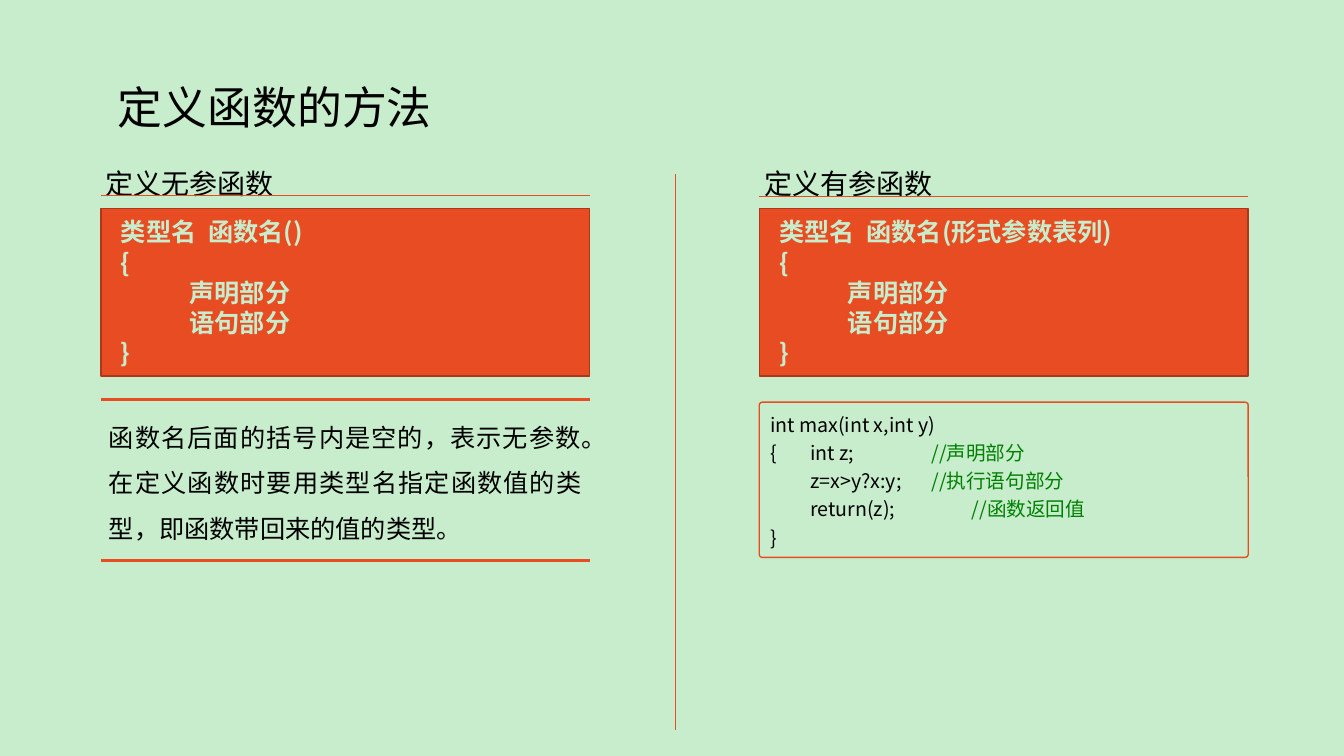
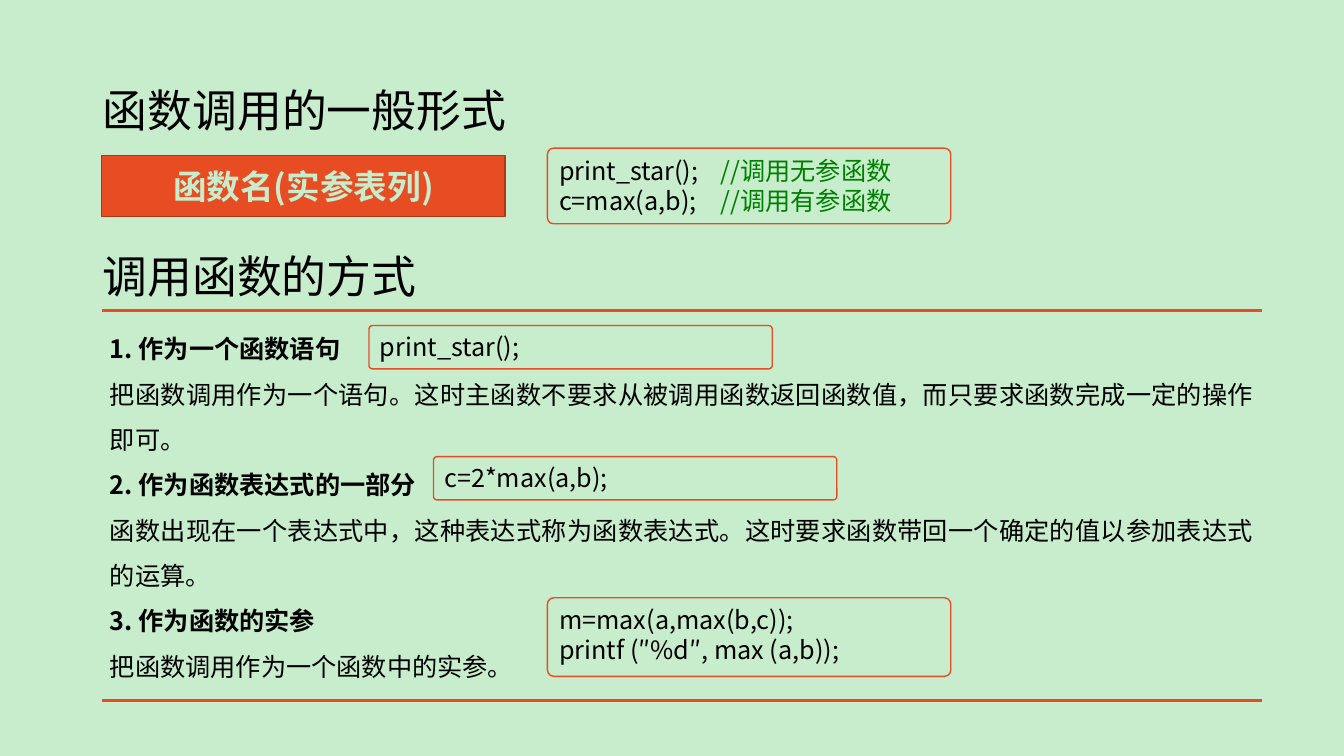
from pptx import Presentation
from pptx.dml.color import RGBColor
from pptx.enum.shapes import MSO_CONNECTOR, MSO_SHAPE
from pptx.enum.text import MSO_ANCHOR, MSO_AUTO_SIZE, PP_ALIGN
from pptx.oxml.ns import qn
from pptx.util import Inches, Pt
from lxml import etree

# Style
PALE = RGBColor(0xC7, 0xED, 0xCC)
RED = RGBColor(0xE8, 0x4C, 0x22)
DARK = RGBColor(0xAC, 0x38, 0x19)
BLACK = RGBColor(0, 0, 0)
GREEN = RGBColor(0, 0x80, 0)
FONT = "Noto Sans CJK SC"
RECT, ROUND = MSO_SHAPE.RECTANGLE, MSO_SHAPE.ROUNDED_RECTANGLE
STRAIGHT = MSO_CONNECTOR.STRAIGHT
TOP, MIDDLE = MSO_ANCHOR.TOP, MSO_ANCHOR.MIDDLE
LEFT, CENTER, JUSTIFY = PP_ALIGN.LEFT, PP_ALIGN.CENTER, PP_ALIGN.JUSTIFY
NO_FIT = MSO_AUTO_SIZE.NONE
INSETS = (0.1, 0.05, 0.1, 0.05)


class Deck:
    def __init__(self):
        self.prs = Presentation()
        self.prs.slide_width = Inches(13.33)
        self.prs.slide_height = Inches(7.5)
        fill = self.prs.slide_master.background.fill
        fill.solid()
        fill.fore_color.rgb = PALE
        self.slide = None

    def put(self, shape, lines, size, color=BLACK, bold=False, align=LEFT,
            space=1.0, anchor=TOP, insets=INSETS, tab=None):
        """Each line is a string or a list of (text, color, bold) runs."""
        frame = shape.text_frame
        frame.word_wrap = True
        frame.auto_size = NO_FIT
        frame.vertical_anchor = anchor
        (frame.margin_left, frame.margin_top,
         frame.margin_right, frame.margin_bottom) = map(Inches, insets)
        for i, line in enumerate(lines):
            para = frame.add_paragraph() if i else frame.paragraphs[0]
            para.alignment = align
            para.line_spacing = space
            if tab:
                self.set_tabs(para, tab)
            for text, hue, heavy in ([(line, color, bold)]
                                     if isinstance(line, str) else line):
                run = para.add_run()
                run.text = text
                font = run.font
                font.name, font.size, font.bold = FONT, Pt(size), heavy
                font.color.rgb = hue
                east = etree.SubElement(run._r.get_or_add_rPr(), qn("a:ea"))
                east.set("typeface", FONT)

    def set_tabs(self, para, step):
        stops = etree.SubElement(para._p.get_or_add_pPr(), qn("a:tabLst"))
        for n in range(1, 7):
            stop = etree.SubElement(stops, qn("a:tab"))
            stop.set("pos", str(Inches(step * n)))
            stop.set("algn", "l")

    def start(self, title, x, y, w):
        self.slide = self.prs.slides.add_slide(self.prs.slide_layouts[5])
        self.head(title, x, y, w, self.slide.shapes.title)

    def head(self, text, x, y, w, shape=None):
        if shape is None:
            shape = self.slide.shapes.add_textbox(0, 0, 0, 0)
        shape.left, shape.top = Inches(x), Inches(y)
        shape.width, shape.height = Inches(w), Inches(1.45)
        self.put(shape, [text], 32, space=0.9, anchor=MIDDLE)

    def text(self, lines, x, y, w, h, size, **style):
        box = self.slide.shapes.add_textbox(*map(Inches, (x, y, w, h)))
        self.put(box, lines, size, **style)

    def box(self, kind, x, y, w, h, fill, edge):
        shape = self.slide.shapes.add_shape(kind, *map(Inches, (x, y, w, h)))
        shape.shadow.inherit = False
        shape.fill.solid()
        shape.fill.fore_color.rgb = fill
        shape.line.color.rgb = edge
        shape.line.width = Pt(1)
        return shape

    def form(self, lines, x, y, w, h, size, **style):
        shape = self.box(RECT, x, y, w, h, RED, DARK)
        self.put(shape, lines, size, PALE, True, anchor=MIDDLE, **style)

    def sample(self, lines, x, y, w, h, size=18, space=1.0, bend=0.08):
        shape = self.box(ROUND, x, y, w, h, PALE, RED)
        shape.adjustments[0] = bend
        # Anything from // onwards is a green comment
        parts = []
        for line in lines:
            body, mark, note = line.partition("//")
            parts.append([(body, BLACK, False)]
                         + ([(mark + note, GREEN, False)] if mark else []))
        self.put(shape, parts, size, space=space, tab=0.4)

    def rule(self, x1, y1, x2, y2, width):
        line = self.slide.shapes.add_connector(
            STRAIGHT, *map(Inches, (x1, y1, x2, y2)))
        line.line.color.rgb = RED
        line.line.width = Pt(width)
        etree.SubElement(line._element.spPr, qn("a:effectLst"))

    def note(self, lines, x, y, w, h):
        """Justified text between two rules."""
        for level in (y, y + h):
            self.rule(x, level, x + w, level, 2)
        self.text(lines, x, y, w, h, 18, align=JUSTIFY, space=1.5,
                  insets=(0.08,) * 4)


def define(deck):
    deck.start("定义函数的方法", 1.07, 0.37, 6.48)
    # Two columns: heading, rule and general form
    for x, y, name, args in ((1, 1.94, "定义无参函数", "()"),
                             (7.53, 1.95, "定义有参函数", "(形式参数表列)")):
        deck.form(["类型名  函数名" + args, "{", "\t声明部分", "\t语句部分", "}"],
                  x, 2.07, 4.85, 1.66, 18, insets=(0.2, 0.05, 0.1, 0.05),
                  tab=0.68)
        deck.text([name], x - 0.05, 1.6, 2.16, 0.44, 20)
        deck.rule(x, y, x + 4.85, y, 0.5)
    deck.rule(6.7, 1.73, 6.7, 7.24, 0.5)
    # Explanation and example
    deck.note(["函数名后面的括号内是空的，表示无参数。",
               "在定义函数时要用类型名指定函数值的类型，即函数带回来的值的类型。"],
              1, 3.96, 4.85, 1.6)
    deck.sample(["int max(int x,int y)", "{\tint z;\t\t//声明部分",
                 "\tz=x>y?x:y;\t//执行语句部分",
                 "\treturn(z);\t\t//函数返回值", "}"],
                7.53, 3.99, 4.85, 1.54, 14, 1.2, 0.02)


def invoke(deck):
    deck.start("函数调用的一般形式", 0.92, 0.4, 11.5)
    # General form
    deck.form(["函数名(实参表列)"], 1.01, 1.54, 4, 0.61, 24, align=CENTER)
    deck.sample(["print_star();\t//调用无参函数", "c=max(a,b);\t//调用有参函数"],
                5.43, 1.47, 4, 0.75)
    # Three ways to call
    ways = (
        ("1. 作为一个函数语句",
         "把函数调用作为一个语句。这时主函数不要求从被调用函数返回函数值，"
         "而只要求函数完成一定的操作即可。"),
        ("2. 作为函数表达式的一部分",
         "函数出现在一个表达式中，这种表达式称为函数表达式。"
         "这时要求函数带回一个确定的值以参加表达式的运算。"),
        ("3. 作为函数的实参", "把函数调用作为一个函数中的实参。"),
    )
    lines = []
    for name, body in ways:
        lines += [[(name, BLACK, True)], body]
    deck.note(lines, 1.01, 3.08, 11.51, 3.87)
    deck.head("调用函数的方式", 0.92, 2.04, 11.5)
    # Examples
    deck.sample(["print_star();"], 3.66, 3.23, 4, 0.43)
    deck.sample(["c=2*max(a,b);"], 4.3, 4.53, 4, 0.43)
    deck.sample(["m=max(a,max(b,c));", "printf (″%d″, max (a,b));"],
                5.43, 5.93, 4, 0.78)


def main():
    deck = Deck()
    define(deck)
    invoke(deck)
    deck.prs.save("out.pptx")


if __name__ == "__main__":
    main()
